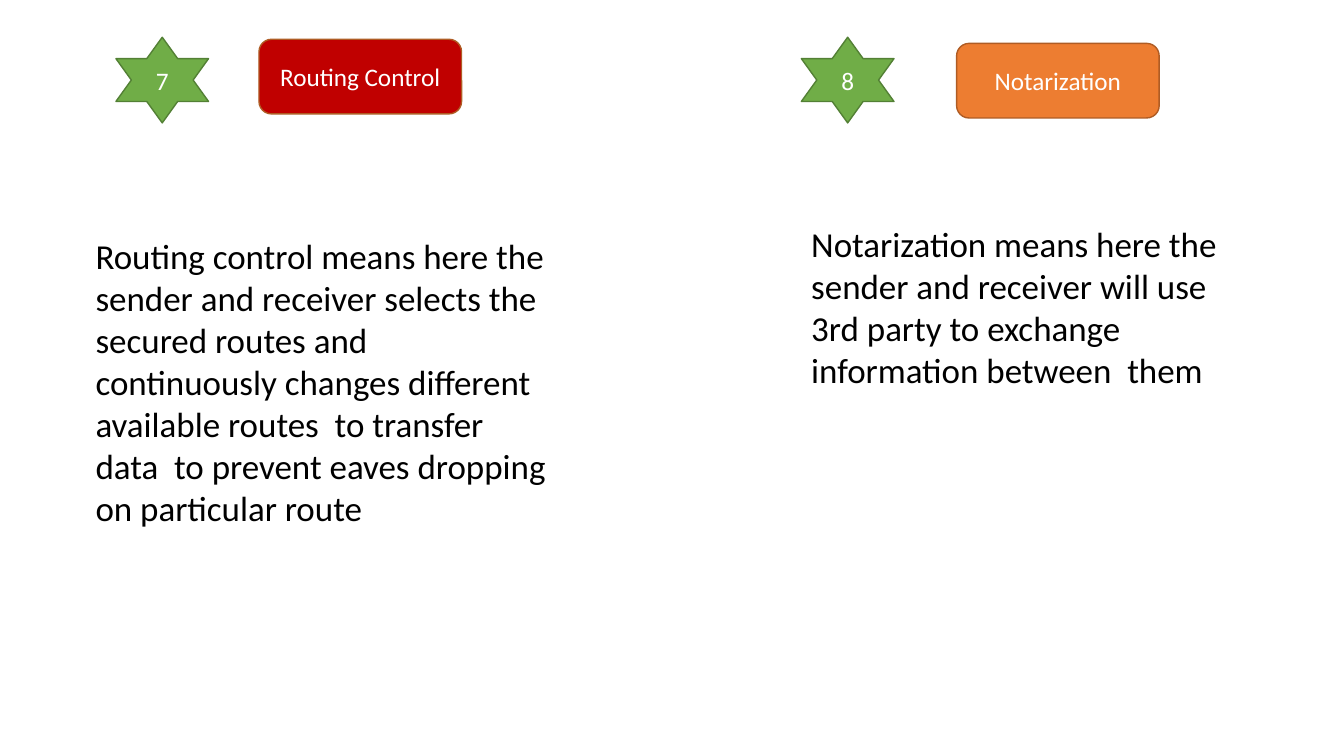
from pptx import Presentation
from pptx.dml.color import RGBColor
from pptx.enum.shapes import MSO_SHAPE as Shape
from pptx.enum.text import MSO_ANCHOR as Anchor, MSO_AUTO_SIZE as AutoSize, PP_ALIGN as Align
from pptx.util import Pt

WHITE = RGBColor(0xFF, 0xFF, 0xFF)
BLACK = RGBColor(0x00, 0x00, 0x00)
RED = RGBColor(0xC0, 0x00, 0x00)
ORANGE = RGBColor(0xED, 0x7D, 0x31)
BROWN = RGBColor(0xAF, 0x5C, 0x24)
GREEN = RGBColor(0x70, 0xAD, 0x47)
DARK_GREEN = RGBColor(0x53, 0x80, 0x35)


class SlideBuilder:
    font = "Calibri"
    label_size = 18
    body_size = 25
    line_width = 1

    def __init__(self, prs):
        self.s = prs.slides.add_slide(prs.slide_layouts[6])

    def set_text(self, tf, text, size, color, align, frame):
        for name, value in frame.items():
            setattr(tf, name, value)
        p = tf.paragraphs[0]
        p.alignment = align
        r = p.add_run()
        r.text = text
        for name, value in {"name": self.font, "size": Pt(size)}.items():
            setattr(r.font, name, value)
        r.font.color.rgb = color

    def label(self, kind, box, text, fill, line):
        sp = self.s.shapes.add_shape(kind, *map(Pt, box))
        sp.shadow.inherit = False
        sp.fill.solid()
        sp.fill.fore_color.rgb = fill
        sp.line.color.rgb = line
        sp.line.width = Pt(self.line_width)
        frame = {"word_wrap": True, "vertical_anchor": Anchor.MIDDLE}
        self.set_text(sp.text_frame, text, self.label_size, WHITE, Align.CENTER, frame)

    def star(self, x, number):
        box = (x, 26.6, 66.2, 61.2)
        self.label(Shape.STAR_6_POINT, box, number, GREEN, DARK_GREEN)

    def heading(self, x, y, text, fill):
        box = (x, y, 144.7, 53.3)
        self.label(Shape.FLOWCHART_ALTERNATE_PROCESS, box, text, fill, BROWN)

    def body(self, box, text):
        tf = self.s.shapes.add_textbox(*map(Pt, box)).text_frame
        frame = {"word_wrap": True, "auto_size": AutoSize.SHAPE_TO_FIT_TEXT}
        self.set_text(tf, text, self.body_size, BLACK, Align.LEFT, frame)


def main():
    prs = Presentation()
    prs.slide_width, prs.slide_height = Pt(960), Pt(540)
    slide = SlideBuilder(prs)
    slide.heading(185, 28.1, "Routing Control", RED)
    slide.heading(683.3, 31, "Notarization", ORANGE)
    slide.star(82.8, "7")
    slide.star(572.4, "8")
    slide.body(
        (572.4, 155.5, 331.2, 128.2),
        "Notarization means here the sender and receiver will use 3rd party "
        "to exchange information between  them",
    )
    slide.body(
        (61.2, 164.2, 340.6, 219.6),
        "Routing control means here the sender and receiver selects the "
        "secured routes and continuously changes different available routes  "
        "to transfer data  to prevent eaves dropping on particular route",
    )
    prs.save("out.pptx")


if __name__ == "__main__":
    main()
